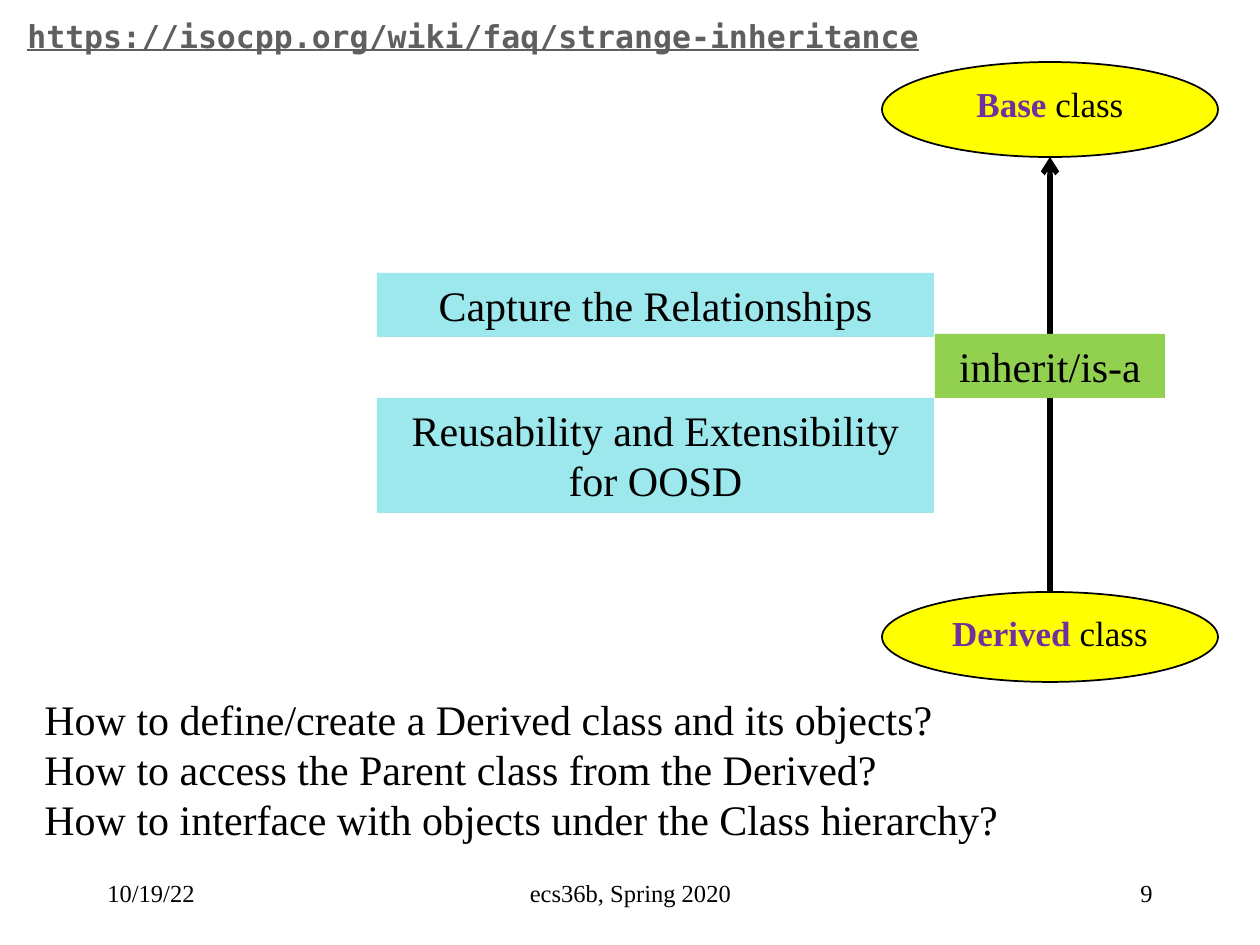
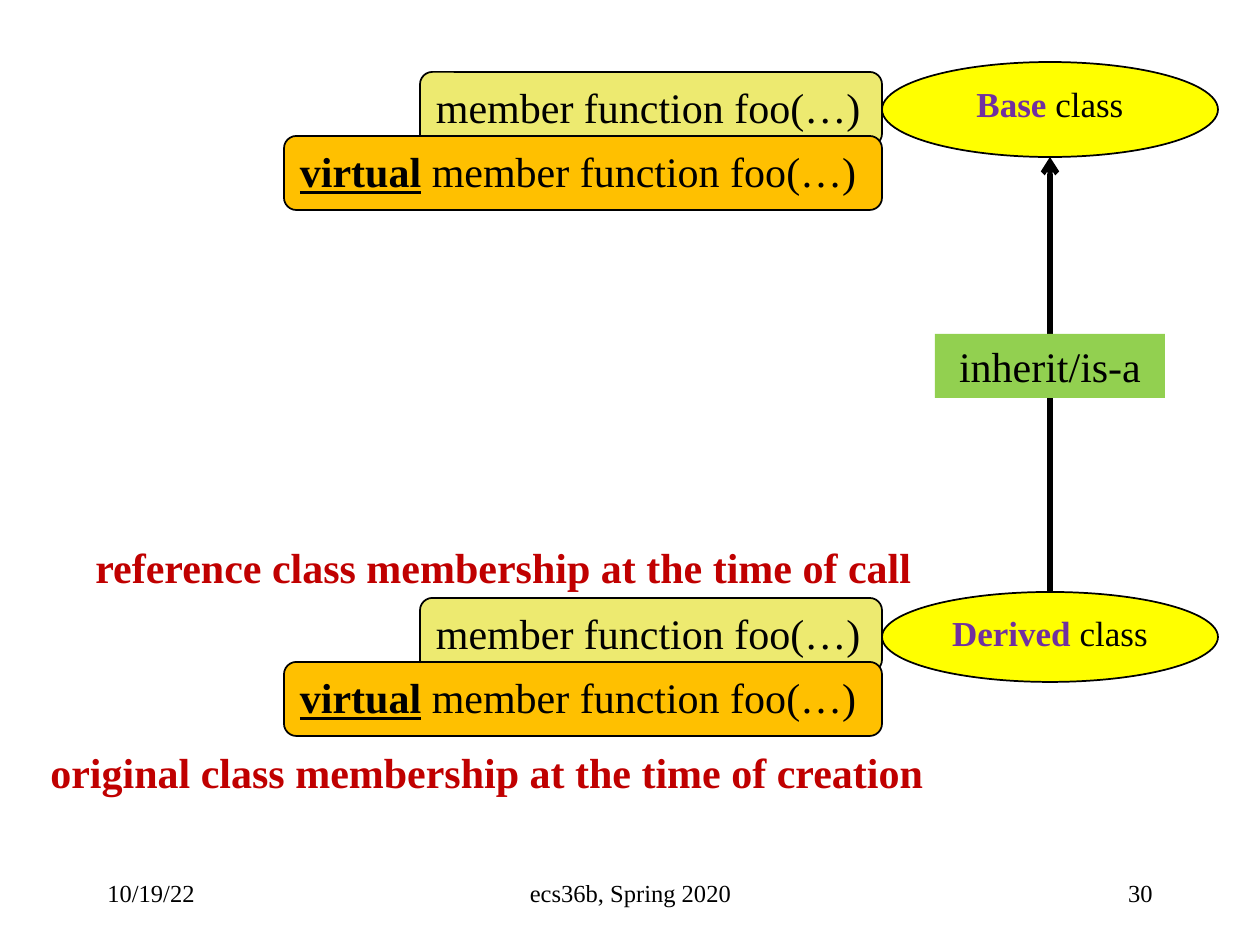
from dataclasses import dataclass

from lxml import etree
from pptx import Presentation
from pptx.dml.color import RGBColor
from pptx.enum.shapes import MSO_CONNECTOR, MSO_SHAPE
from pptx.enum.text import MSO_ANCHOR, PP_ALIGN
from pptx.oxml.ns import qn
from pptx.util import Emu, Pt

LEFT, CENTER, RIGHT = PP_ALIGN.LEFT, PP_ALIGN.CENTER, PP_ALIGN.RIGHT
TOP, MIDDLE = MSO_ANCHOR.TOP, MSO_ANCHOR.MIDDLE
OVAL, RECTANGLE, ROUNDED = MSO_SHAPE.OVAL, MSO_SHAPE.RECTANGLE, MSO_SHAPE.ROUNDED_RECTANGLE
STRAIGHT = MSO_CONNECTOR.STRAIGHT
PX_PER_INCH = 126
BLANK_LAYOUT = 6


@dataclass(frozen=True)
class Theme:
    font: str = "Times New Roman"
    code_font: str = "DejaVu Sans Mono"
    body_size: int = 24
    class_size: int = 20
    link_size: int = 18
    footer_size: int = 14
    ink: str = "000000"
    class_name: str = "7030A0"
    class_fill: str = "FFFF00"
    relation_fill: str = "92D050"
    purpose_fill: str = "9CE8EC"
    member_fill: str = "EDEA70"
    virtual_fill: str = "FFC000"
    emphasis: str = "C00000"
    link: str = "5F5F5F"


@dataclass(frozen=True)
class Span:
    text: str
    bold: bool | None = None
    underline: bool | None = None
    color: str | None = None


def px(length):
    return Emu(round(length * 914400 / PX_PER_INCH))


def rgb(color):
    return RGBColor.from_string(color)


class ClassDeck:
    def __init__(self, theme):
        self.theme = theme
        self.deck = Presentation()
        self.deck.slide_width, self.deck.slide_height = px(1260), px(945)
        self.page = None

    def add_page(self, number):
        layout = self.deck.slide_layouts[BLANK_LAYOUT]
        self.page = self.deck.slides.add_slide(layout)
        footers = (
            (95, 262, "10/19/22", LEFT),
            (431, 399, "ecs36b, Spring 2020", CENTER),
            (903, 262, number, RIGHT),
        )
        for left, width, text, align in footers:
            self.text((left, 861, width, 63), [text], size=self.theme.footer_size,
                      align=align, anchor=MIDDLE)
        self.class_diagram()

    def set_text(self, box, paragraphs, size=None, color=None, font=None, bold=None,
                 underline=None, align=LEFT, anchor=TOP):
        frame = box.text_frame
        frame.word_wrap = True
        frame.vertical_anchor = anchor
        for index, content in enumerate(paragraphs):
            para = frame.add_paragraph() if index else frame.paragraphs[0]
            para.alignment = align
            para.font.name = font or self.theme.font
            para.font.size = Pt(size or self.theme.body_size)
            para.font.color.rgb = rgb(color or self.theme.ink)
            para.font.bold = bold
            para.font.underline = underline
            for span in [Span(content)] if isinstance(content, str) else content:
                run = para.add_run()
                run.text = span.text
                if span.bold:
                    run.font.bold = True
                if span.underline:
                    run.font.underline = True
                if span.color:
                    run.font.color.rgb = rgb(span.color)

    def text(self, place, paragraphs, **style):
        box = self.page.shapes.add_textbox(*map(px, place))
        self.set_text(box, paragraphs, **style)

    def shape(self, kind, place, fill, paragraphs, outlined=True, **style):
        box = self.page.shapes.add_shape(kind, *map(px, place))
        box.shadow.inherit = False
        box.fill.solid()
        box.fill.fore_color.rgb = rgb(fill)
        if outlined:
            box.line.color.rgb = rgb(self.theme.ink)
            box.line.width = Pt(1)
        else:
            box.line.fill.background()
        self.set_text(box, paragraphs, **style)

    def arrow(self, start, end):
        connector = self.page.shapes.add_connector(STRAIGHT, *map(px, start + end))
        connector.line.color.rgb = rgb(self.theme.ink)
        connector.line.width = Pt(3)
        properties = connector.element.spPr
        etree.SubElement(properties.find(qn("a:ln")), qn("a:tailEnd"), type="arrow")
        etree.SubElement(properties, qn("a:effectLst"))

    def label(self, place, fill, paragraphs):
        self.shape(RECTANGLE, place, fill, paragraphs, outlined=False, align=CENTER)

    def class_diagram(self):
        for name, top, height in (("Base", 62, 95), ("Derived", 592, 90)):
            spans = [Span(name, bold=True, color=self.theme.class_name), Span(" class")]
            self.shape(OVAL, (882, top, 336, height), self.theme.class_fill, [spans],
                       size=self.theme.class_size, align=CENTER)
        self.arrow((1050, 592), (1050, 157))
        self.label((935, 334, 230, 64), self.theme.relation_fill, ["inherit/is-a"])

    def member_functions(self, tops):
        member = "member function foo(…)"
        virtual = [Span("virtual", bold=True, underline=True), Span(" " + member)]
        for top in tops:
            self.shape(ROUNDED, (420, top, 462, 74), self.theme.member_fill, [member])
            self.shape(ROUNDED, (284, top + 64, 598, 74), self.theme.virtual_fill, [virtual])

    def emphasis(self, place, text):
        self.text(place, [text], color=self.theme.emphasis, bold=True)


def main():
    theme = Theme()
    slides = ClassDeck(theme)

    slides.add_page("9")
    slides.label((377, 273, 557, 64), theme.purpose_fill, ["Capture the Relationships"])
    slides.label((377, 398, 557, 115), theme.purpose_fill,
                 ["Reusability and Extensibility", "for OOSD"])
    slides.text((32, 687, 988, 165), [
        "How to define/create a Derived class and its objects?",
        "How to access the Parent class from the Derived?",
        "How to interface with objects under the Class hierarchy?",
    ])
    slides.text((15, 11, 960, 50), ["https://isocpp.org/wiki/faq/strange-inheritance"],
                size=theme.link_size, color=theme.link, font=theme.code_font,
                bold=True, underline=True)

    slides.add_page("30")
    slides.member_functions((72, 598))
    slides.emphasis((38, 740, 918, 64), "original class membership at the time of creation")
    slides.emphasis((83, 535, 862, 64), "reference class membership at the time of call")

    slides.deck.save("out.pptx")


if __name__ == "__main__":
    main()
